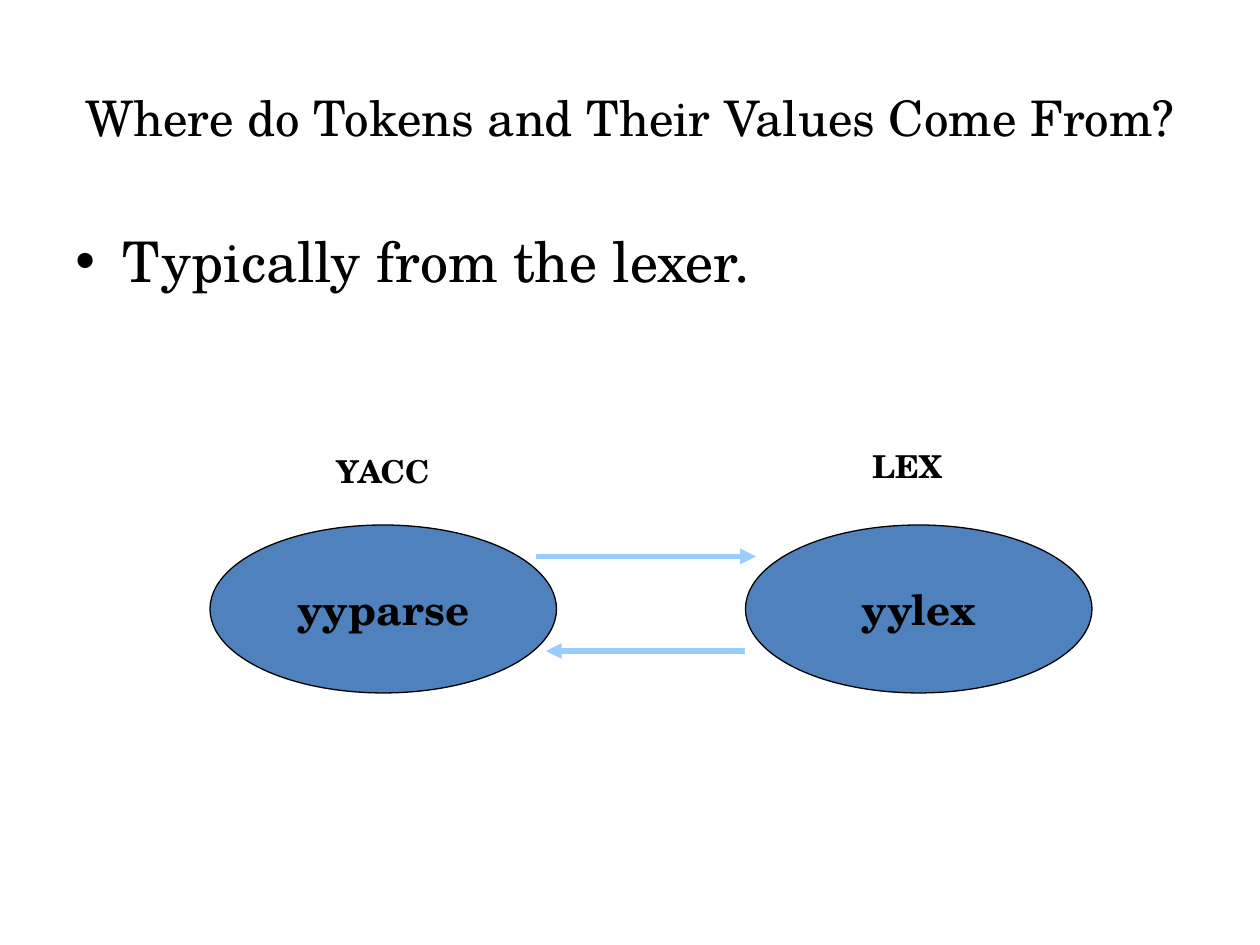
from lxml.etree import SubElement
from pptx import Presentation
from pptx.dml.color import RGBColor
from pptx.enum.shapes import MSO_CONNECTOR, MSO_SHAPE
from pptx.enum.text import MSO_ANCHOR, PP_ALIGN
from pptx.oxml.ns import qn
from pptx.util import Pt

FONT = "TeX Gyre Schola"
BLACK, BLUE, LIGHT_BLUE = "000000", "4F81BD", "99CCFF"

TITLE = "Where do Tokens and Their Values Come From?"
BULLET = "Typically from the lexer."
# function, its left edge, tool, tool label's (left, top, width)
PROGRAMS = [
    ("yyparse", 120, "YACC", (185, 255, 69)),
    ("yylex", 426, "LEX", (491.5, 252, 55)),
]
OVAL_TOP, OVAL_WIDTH, OVAL_HEIGHT = 300, 198, 96
LABEL_HEIGHT = 29
# start x, end x, y
CALLS = [(306, 432, 318), (426, 312, 372)]
INDENT = 27


def color(hex_value):
    """Return the colour for a hex string."""
    return RGBColor.from_string(hex_value)


def write(shape, text, size, bold=False, align=PP_ALIGN.LEFT,
          anchor=MSO_ANCHOR.TOP, wrap=True):
    """Write one styled run into a shape and return its paragraph."""
    frame = shape.text_frame
    frame.word_wrap = wrap
    frame.vertical_anchor = anchor
    paragraph = frame.paragraphs[0]
    paragraph.alignment = align
    run = paragraph.add_run()
    run.text = text
    run.font.name = FONT
    run.font.size = Pt(size)
    run.font.bold = bold
    run.font.color.rgb = color(BLACK)
    return paragraph


def add_text(slide, box, text, size, **style):
    """Add a text box at (left, top, width, height)."""
    return write(slide.shapes.add_textbox(*map(Pt, box)), text, size, **style)


def add_bullet(paragraph):
    """Give a paragraph a round bullet with a hanging indent."""
    properties = paragraph._p.get_or_add_pPr()
    properties.set("marL", str(Pt(INDENT)))
    properties.set("indent", str(-Pt(INDENT)))
    SubElement(properties, qn("a:buFont"), typeface="Arial")
    SubElement(properties, qn("a:buChar"), char="•")


def add_oval(slide, left, text):
    """Add an ellipse that names a function."""
    oval = slide.shapes.add_shape(MSO_SHAPE.OVAL, Pt(left), Pt(OVAL_TOP),
                                  Pt(OVAL_WIDTH), Pt(OVAL_HEIGHT))
    oval.shadow.inherit = False
    oval.fill.solid()
    oval.fill.fore_color.rgb = color(BLUE)
    oval.line.color.rgb = color(BLACK)
    oval.line.width = Pt(0.75)
    write(oval, text, 24, bold=True, align=PP_ALIGN.CENTER,
          anchor=MSO_ANCHOR.MIDDLE, wrap=False)


def add_arrow(slide, start, end, y):
    """Add a horizontal arrow from start to end."""
    arrow = slide.shapes.add_connector(MSO_CONNECTOR.STRAIGHT, Pt(start),
                                       Pt(y), Pt(end), Pt(y))
    arrow.line.color.rgb = color(LIGHT_BLUE)
    arrow.line.width = Pt(3)
    SubElement(arrow.line._get_or_add_ln(), qn("a:tailEnd"), type="triangle")
    SubElement(arrow._element.spPr, qn("a:effectLst"))


presentation = Presentation()
presentation.slide_width, presentation.slide_height = Pt(720), Pt(540)
slide = presentation.slides.add_slide(presentation.slide_layouts[6])

add_text(slide, (36, 21.6, 648, 90), TITLE, 28,
         align=PP_ALIGN.CENTER, anchor=MSO_ANCHOR.MIDDLE)
add_bullet(add_text(slide, (36, 126, 648, 356.4), BULLET, 32))
for function, left, tool, (label_left, label_top, label_width) in PROGRAMS:
    add_oval(slide, left, function)
    add_text(slide, (label_left, label_top, label_width, LABEL_HEIGHT), tool,
             18, bold=True, wrap=False)
for call in CALLS:
    add_arrow(slide, *call)

presentation.save("out.pptx")
